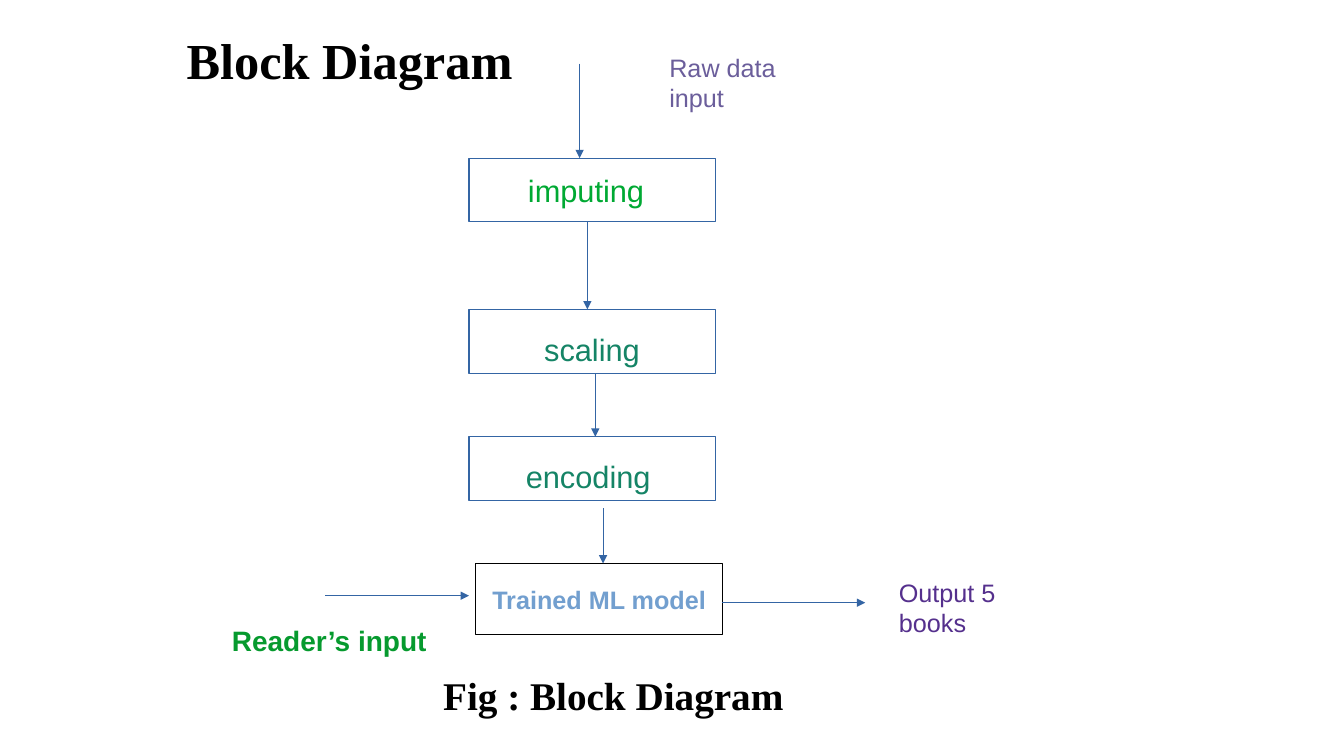
from dataclasses import dataclass

from lxml import etree
from pptx import Presentation
from pptx.dml.color import RGBColor
from pptx.enum.shapes import MSO_CONNECTOR, MSO_SHAPE
from pptx.enum.text import MSO_ANCHOR, PP_ALIGN
from pptx.oxml.ns import qn
from pptx.util import Pt

RECTANGLE = MSO_SHAPE.RECTANGLE
STRAIGHT = MSO_CONNECTOR.STRAIGHT
CENTER = PP_ALIGN.CENTER
MIDDLE = MSO_ANCHOR.MIDDLE


@dataclass(frozen=True)
class Theme:
    serif: str = "Times New Roman"
    sans: str = "Arial"
    title_size: float = 36
    caption_size: float = 28
    step_size: float = 22
    reader_size: float = 20
    note_size: float = 18
    line_width: float = 0.75
    black: str = "000000"
    white: str = "FFFFFF"
    blue: str = "3465A4"
    light_blue: str = "729FCF"
    green: str = "00A933"
    dark_green: str = "069A2E"
    teal: str = "158466"
    lavender: str = "6B5E9B"
    purple: str = "55308D"


THEME = Theme()


def rgb(color):
    return RGBColor.from_string(color)


def write(frame, lines, size, color, font=THEME.sans, bold=False, align=None):
    for index, line in enumerate(lines):
        paragraph = frame.add_paragraph() if index else frame.paragraphs[0]
        if align is not None:
            paragraph.alignment = align
        run = paragraph.add_run()
        run.text = line
        run.font.name = font
        run.font.size = Pt(size)
        run.font.bold = bold
        run.font.color.rgb = rgb(color)


def add_label(slide, place, lines, size, color, wrap=True, indent=0, **style):
    label = slide.shapes.add_textbox(*map(Pt, place))
    frame = label.text_frame
    frame.word_wrap = wrap
    frame.margin_left = Pt(7.2 + indent)
    write(frame, lines, size, color, **style)


def add_block(slide, place, outline):
    block = slide.shapes.add_shape(RECTANGLE, *map(Pt, place))
    block.shadow.inherit = False
    block.fill.solid()
    block.fill.fore_color.rgb = rgb(THEME.white)
    block.line.color.rgb = rgb(outline)
    block.line.width = Pt(THEME.line_width)
    return block


def add_arrow(slide, x1, y1, x2, y2):
    arrow = slide.shapes.add_connector(STRAIGHT, Pt(x1), Pt(y1), Pt(x2), Pt(y2))
    arrow.line.color.rgb = rgb(THEME.blue)
    arrow.line.width = Pt(THEME.line_width)
    etree.SubElement(arrow.line._get_or_add_ln(), qn("a:tailEnd"), type="triangle")
    etree.SubElement(arrow._element.spPr, qn("a:effectLst"))


def main():
    prs = Presentation()
    prs.slide_width, prs.slide_height = Pt(960), Pt(540)
    slide = prs.slides.add_slide(prs.slide_layouts[6])

    # Title and caption
    add_label(slide, (91, 17, 317.5, 50.5), ["Block Diagram"], THEME.title_size,
              THEME.black, font=THEME.serif, bold=True, align=CENTER)
    add_label(slide, (309.5, 476, 258, 40), ["Fig : Block Diagram"], THEME.caption_size,
              THEME.black, wrap=False, font=THEME.serif, bold=True)

    # Preprocessing steps: name, block top, label left, label top, indent, color
    steps = [
        ("imputing", 113, 370, 119, 0, THEME.green),
        ("scaling", 221, 357, 232.5, 24.5, THEME.teal),
        ("encoding", 312, 368.5, 323.5, 0, THEME.teal),
    ]
    for name, top, left, label_top, indent, color in steps:
        add_block(slide, (335, top, 176, 45.5), THEME.blue)
        add_label(slide, (left, label_top, 115, 32), [name], THEME.step_size,
                  color, indent=indent)

    # Trained model
    model = add_block(slide, (340, 402.5, 176, 51), THEME.black)
    model.text_frame.word_wrap = False
    model.text_frame.vertical_anchor = MIDDLE
    write(model.text_frame, ["Trained ML model"], THEME.note_size, THEME.light_blue,
          bold=True, align=CENTER)

    # Downward flow, each arrow a little further right
    drops = [(45.5, 113), (158.5, 221), (266.5, 312), (363, 402.5)]
    for index, (start, end) in enumerate(drops):
        x = 414 + 5.6 * index
        add_arrow(slide, x, start, x, end)

    # Flow into and out of the model
    add_arrow(slide, 232.5, 425.5, 335, 425.5)
    add_arrow(slide, 516, 430.5, 618, 430.5)

    # Inputs and output
    add_label(slide, (471, 34, 95, 47.5), ["Raw data", "input"], THEME.note_size,
              THEME.lavender)
    add_label(slide, (158.5, 442, 153.5, 29.5), ["Reader’s input"], THEME.reader_size,
              THEME.dark_green, bold=True)
    add_label(slide, (635, 408.5, 134, 27.5), ["Output 5 books"], THEME.note_size,
              THEME.purple)

    prs.save("out.pptx")


if __name__ == "__main__":
    main()
